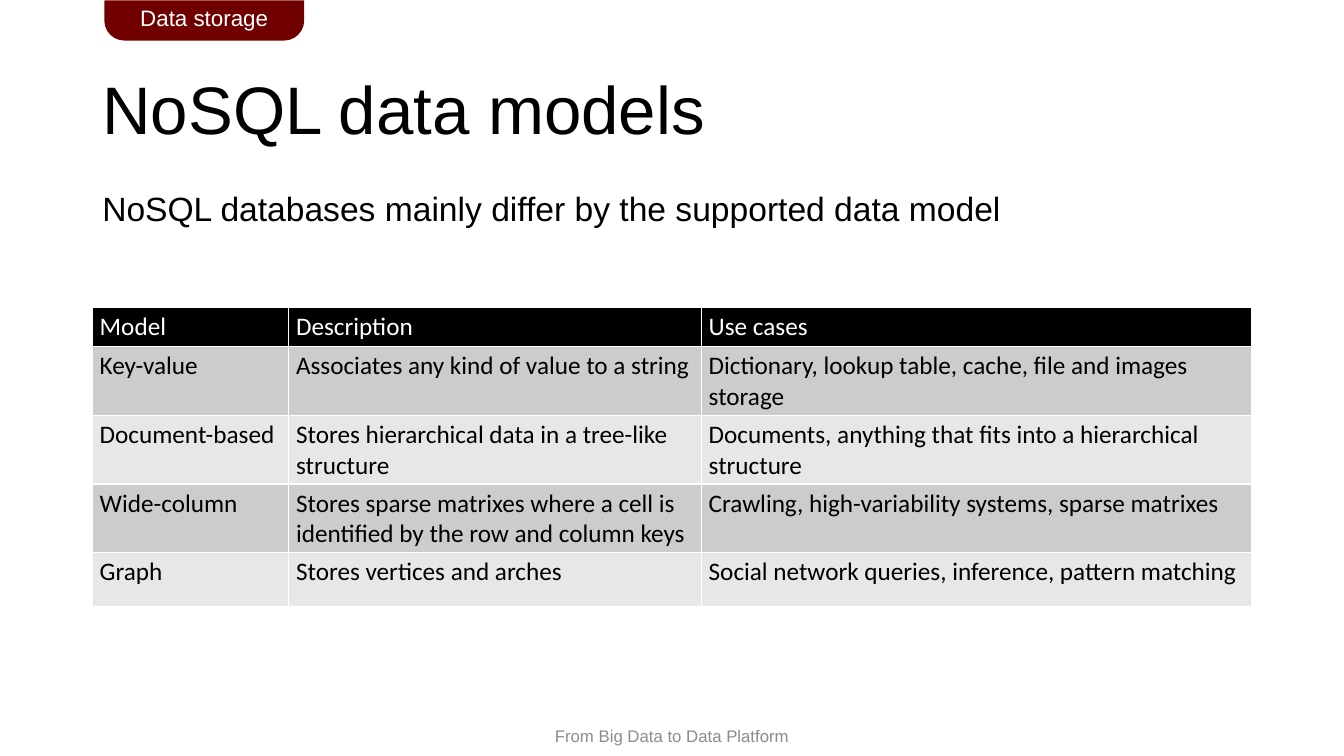
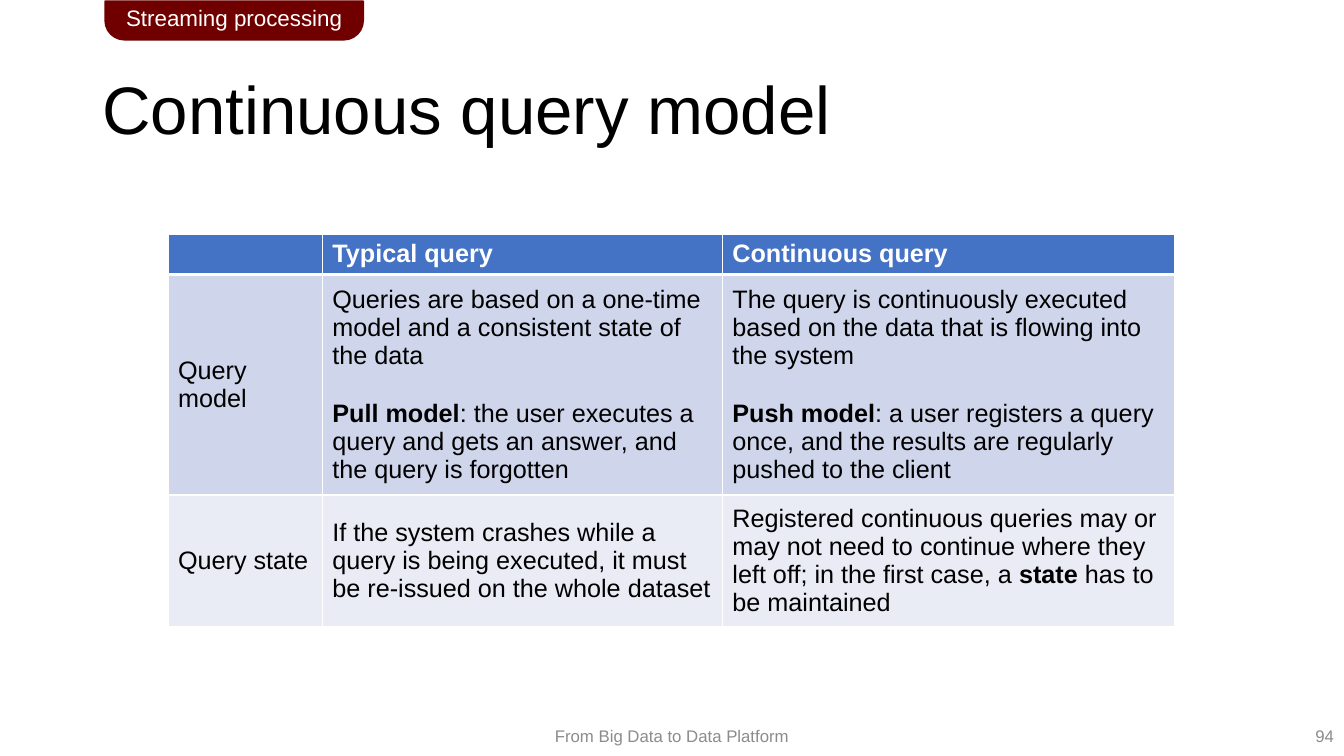
from lxml import etree
from pptx import Presentation
from pptx.dml.color import RGBColor
from pptx.enum.shapes import MSO_SHAPE
from pptx.enum.text import MSO_ANCHOR, MSO_AUTO_SIZE, PP_ALIGN
from pptx.oxml.ns import qn
from pptx.util import Emu, Pt

LEFT, CENTER, RIGHT = PP_ALIGN.LEFT, PP_ALIGN.CENTER, PP_ALIGN.RIGHT
TOP, MIDDLE = MSO_ANCHOR.TOP, MSO_ANCHOR.MIDDLE
NO_AUTOFIT = MSO_AUTO_SIZE.NONE
TAB_SHAPE = MSO_SHAPE.ROUND_2_SAME_RECTANGLE
TITLE_ONLY = 5
EMU_PER_PX = 9525

WHITE, BLACK, GREY, MAROON = "FFFFFF", "000000", "8C8C8C", "700000"
GREY_SCHEME = (BLACK, "CCCCCC", "E7E7E7")
BLUE_SCHEME = ("4472C4", "CFD5EA", "E9EBF5")
FOOTER = "From Big Data to Data Platform"


def px(length):
    """Convert whole pixels to EMU."""
    return Emu(length * EMU_PER_PX)


def color(hex_code):
    """Turn a hex string into a colour."""
    return RGBColor.from_string(hex_code)


class Deck:
    """Hold the shared style and the current slide."""

    def __init__(self):
        """Start an empty widescreen presentation."""
        self.prs = Presentation()
        self.prs.slide_width, self.prs.slide_height = px(1280), px(720)
        self.slide = None

    def add_runs(self, frame, text, size, ink=BLACK, font="Arial", align=LEFT,
                 spacing=None, gap=0, bold=False):
        """Fill a frame with lines of text, with ** around bold parts."""
        for index, line in enumerate(text.split("\n")):
            paragraph = frame.add_paragraph() if index else frame.paragraphs[0]
            paragraph.alignment = align
            paragraph.line_spacing = spacing
            if index:
                paragraph.space_before = Pt(gap)
            for part_index, part in enumerate(line.split("**")):
                if part:
                    run = paragraph.add_run()
                    run.text = part
                    run.font.name, run.font.size = font, Pt(size)
                    run.font.bold = bold or part_index % 2 == 1
                    run.font.color.rgb = color(ink)

    def text(self, box, text, size, anchor=TOP, **style):
        """Add a wrapping text box."""
        frame = self.slide.shapes.add_textbox(*map(px, box)).text_frame
        frame.word_wrap = True
        frame.vertical_anchor = anchor
        self.add_runs(frame, text, size, **style)

    def start(self, title, section, tab_width, number=None):
        """Add a slide with its title, section tab and footer."""
        layout = self.prs.slide_layouts[TITLE_ONLY]
        self.slide = self.prs.slides.add_slide(layout)
        self.text((460, 682, 360, 38), FOOTER, 12, MIDDLE, ink=GREY, align=CENTER)
        if number:
            self.text((992, 682, 288, 38), number, 12, MIDDLE, ink=GREY, align=RIGHT)
        heading = self.slide.shapes.title
        heading.left, heading.top, heading.width, heading.height = map(
            px, (88, 38, 1104, 139))
        heading.text_frame.auto_size = NO_AUTOFIT
        heading.text_frame.vertical_anchor = MIDDLE
        self.add_runs(heading.text_frame, title, 48, spacing=0.9)
        self.tab(section, tab_width)

    def tab(self, section, width):
        """Add the section tab hanging from the top edge."""
        tab = self.slide.shapes.add_shape(TAB_SHAPE, *map(px, (100, 1, width, 37)))
        tab.adjustments[0], tab.adjustments[1] = 0, 0.5
        tab.shadow.inherit = False
        tab.fill.solid()
        tab.fill.fore_color.rgb = color(MAROON)
        tab.line.color.rgb = color(MAROON)
        tab.line.width = Pt(1)
        tab.text_frame.vertical_anchor = MIDDLE
        self.add_runs(tab.text_frame, section, 16, ink=WHITE, align=CENTER)

    def border(self, cell, side, width):
        """Draw one white side of a cell."""
        properties = cell._tc.get_or_add_tcPr()
        line = etree.SubElement(properties, qn(f"a:ln{side}"), w=str(Pt(width)))
        solid = etree.SubElement(line, qn("a:solidFill"))
        etree.SubElement(solid, qn("a:srgbClr"), val=WHITE)

    def table(self, box, widths, heights, rows, scheme, font="Arial", anchor=TOP,
              insets=(None, None), header_bold=False, header_rule=1):
        """Add a table with a header row and alternating body fills."""
        header, *bands = scheme
        table = self.slide.shapes.add_table(
            len(rows), len(widths), *map(px, box)).table
        table.horz_banding = False
        for column, width in zip(table.columns, widths):
            column.width = px(width)
        for row_index, (row, height, texts) in enumerate(
                zip(table.rows, heights, rows)):
            row.height = px(height)
            is_header = row_index == 0
            rules = {"L": 1, "R": 1, "T": header_rule if row_index == 1 else 1,
                     "B": header_rule if is_header else 1}
            for cell, text in zip(row.cells, texts):
                cell.margin_left = cell.margin_right = insets[0]
                cell.margin_top = cell.margin_bottom = insets[1]
                cell.vertical_anchor = TOP if is_header else anchor
                for side, width in rules.items():
                    self.border(cell, side, width)
                cell.fill.solid()
                cell.fill.fore_color.rgb = color(
                    header if is_header else bands[(row_index - 1) % 2])
                self.add_runs(cell.text_frame, text, 18,
                              WHITE if is_header else BLACK, font, gap=20.7,
                              bold=is_header and header_bold)


def data_models(deck):
    """Build the slide on NoSQL data models."""
    deck.start("NoSQL data models", "Data storage", 189)
    deck.text((88, 179, 1104, 457),
              "NoSQL databases mainly differ by the supported data model", 24,
              spacing=0.9)
    models = [
        ("Model", "Description", "Use cases"),
        ("Key-value", "Associates any kind of value to a string",
         "Dictionary, lookup table, cache, file and images storage"),
        ("Document-based", "Stores hierarchical data in a tree-like structure",
         "Documents, anything that fits into a hierarchical structure"),
        ("Wide-column",
         "Stores sparse matrixes where a cell is identified by the row and column keys",
         "Crawling, high-variability systems, sparse matrixes"),
        ("Graph", "Stores vertices and arches",
         "Social network queries, inference, pattern matching"),
    ]
    deck.table((88, 293, 1104, 280), (187, 393, 524), (29, 51, 51, 51, 51), models,
               GREY_SCHEME, font="Calibri", insets=(px(7), px(4)))


def continuous_query(deck):
    """Build the slide comparing typical and continuous queries."""
    deck.start("Continuous query model", "Streaming processing", 246, "94")
    comparison = [
        ("", "Typical query", "Continuous query"),
        ("Query model",
         "Queries are based on a one-time model and a consistent state of the data\n"
         "**Pull model**: the user executes a query and gets an answer, "
         "and the query is forgotten",
         "The query is continuously executed based on the data that is flowing "
         "into the system\n"
         "**Push model**: a user registers a query once, and the results are "
         "regularly pushed to the client"),
        ("Query state",
         "If the system crashes while a query is being executed, it must be "
         "re-issued on the whole dataset",
         "Registered continuous queries may or may not need to continue where they "
         "left off; in the first case, a **state **has to be maintained"),
    ]
    deck.table((160, 223, 959, 374), (147, 381, 431), (37, 194, 101), comparison,
               BLUE_SCHEME, anchor=MIDDLE, header_bold=True, header_rule=3)


def main():
    """Build and save the presentation."""
    deck = Deck()
    data_models(deck)
    continuous_query(deck)
    deck.prs.save("out.pptx")


if __name__ == "__main__":
    main()
